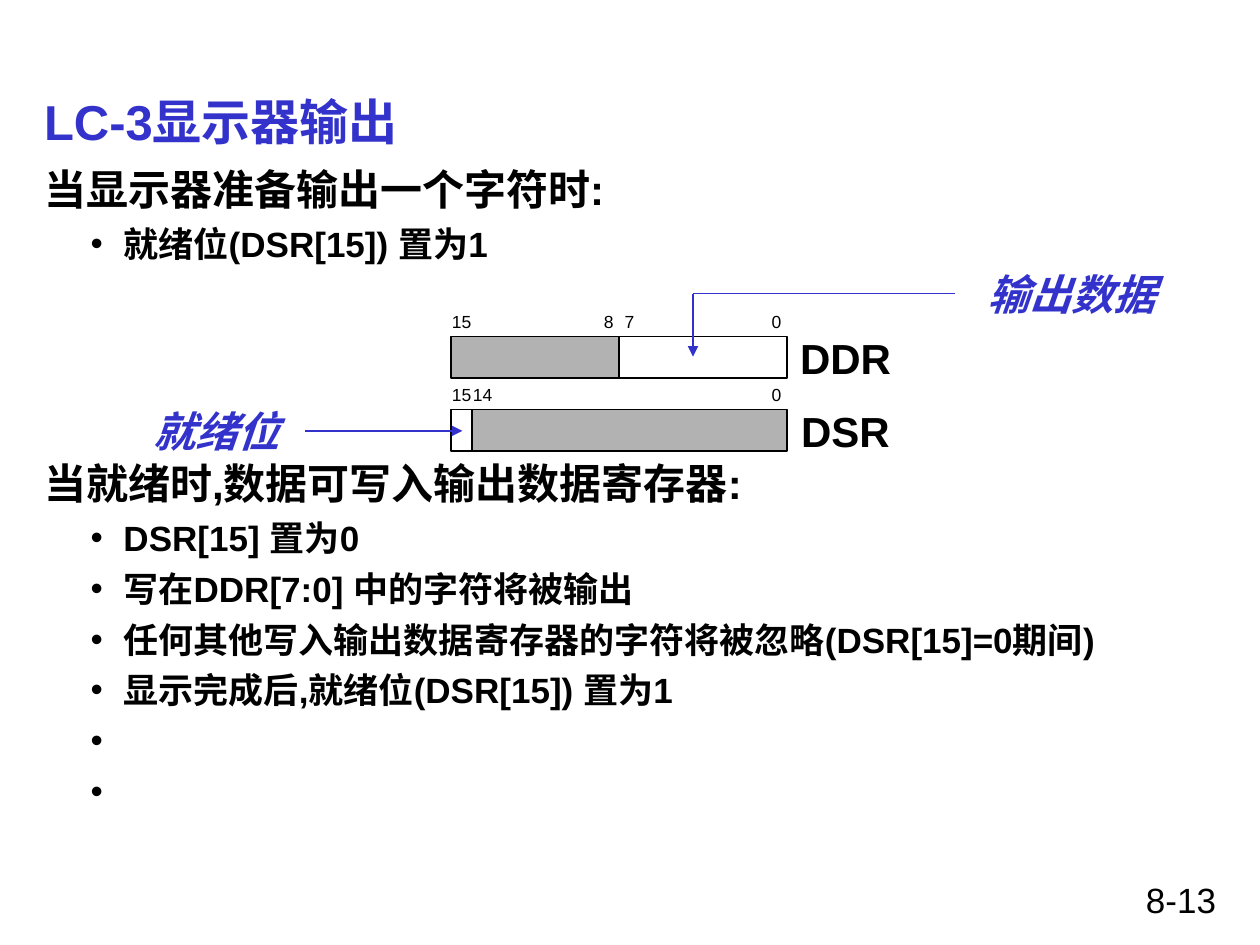
from lxml.etree import SubElement as sub
from pptx import Presentation
from pptx.dml.color import RGBColor as RGB
from pptx.enum.shapes import MSO_CONNECTOR as CONN, MSO_SHAPE as SHAPE
from pptx.enum.text import MSO_ANCHOR as ANCHOR, MSO_AUTO_SIZE as FIT, PP_ALIGN as ALIGN
from pptx.oxml.ns import qn
from pptx.util import Inches, Pt

COLORS = {"ink": "000000", "blue": "3333CC", "gray": "B2B2B2", "white": "FFFFFF"}
LEFT, BIT, HIGH = 3.58, 1 / 6, 0.33  # register left edge, bit width, height

# Level, text, space before; the second heading leaves room for the registers
BODY = [
    (0, "当显示器准备输出一个字符时:", 6),
    (1, "就绪位(DSR[15]) 置为1", 5),
    (0, "当就绪时,数据可写入输出数据寄存器:", 110),
    (1, "DSR[15] 置为0", 5),
    (1, "写在DDR[7:0] 中的字符将被输出", 5),
    (1, "任何其他写入输出数据寄存器的字符将被忽略(DSR[15]=0期间)", 5),
    (1, "显示完成后,就绪位(DSR[15]) 置为1", 5),
    (1, "\n", 5),  # a bullet still without words
]


def color(name):
    return RGB.from_string(COLORS[name])


def style(para, size, tint="ink", bold=False, slant=False):
    font = para.font
    font.name, font.size = "Arial", Pt(size)
    font.bold, font.italic = bold, slant
    font.color.rgb = color(tint)


def place(shape, x, y, w, h):
    shape.left, shape.top = Inches(x), Inches(y)
    shape.width, shape.height = Inches(w), Inches(h)


def head(slide, text):
    title = slide.shapes.title
    place(title, 0.25, 0.67, 9.5, 0.58)
    frame = title.text_frame
    frame.text = text
    frame.auto_size, frame.vertical_anchor = FIT.NONE, ANCHOR.MIDDLE
    para = frame.paragraphs[0]
    para.alignment = ALIGN.LEFT
    style(para, 28, "blue", bold=True)


def bullet(para, level):
    props = para._p.get_or_add_pPr()
    props.set("marL", str(Inches(0.63 * level)))
    props.set("indent", str(Inches(-0.26 * level)))
    if level:
        sub(props, qn("a:buFont"), typeface="Arial")
        sub(props, qn("a:buChar"), char="•")
    else:
        sub(props, qn("a:buNone"))


def body(slide):
    box = slide.placeholders[1]
    place(box, 0.25, 1.25, 9.5, 5.42)
    frame = box.text_frame
    frame.auto_size = FIT.NONE
    for i, (level, text, gap) in enumerate(BODY):
        para = frame.add_paragraph() if i else frame.paragraphs[0]
        para.add_run().text = text
        para.level = level
        para.space_before = Pt(gap)
        bullet(para, level)
        style(para, 20 if level else 24, bold=True)


def label(slide, text, x, y, w, h, size, align=ALIGN.CENTER, **look):
    frame = slide.shapes.add_textbox(Inches(x), Inches(y), Inches(w), Inches(h)).text_frame
    grow = align == ALIGN.CENTER
    frame.word_wrap = not grow
    frame.auto_size = FIT.SHAPE_TO_FIT_TEXT if grow else FIT.NONE
    frame.text = text
    para = frame.paragraphs[0]
    para.alignment = align
    style(para, size, **look)


def field(slide, high, low, y, fill):
    x, w = LEFT + (15 - high) * BIT, (high - low + 1) * BIT
    rect = slide.shapes.add_shape(SHAPE.RECTANGLE, Inches(x), Inches(y), Inches(w), Inches(HIGH))
    rect.shadow.inherit = False
    rect.fill.solid()
    rect.fill.fore_color.rgb = color(fill)
    rect.line.color.rgb = color("ink")
    rect.line.width = Pt(0.75)


def register(slide, name, y, parts):
    for high, low, fill in parts:
        field(slide, high, low, y, fill)
        for bit in {high, low}:
            mid = LEFT + (15.5 - bit) * BIT
            wide = 0.36 if bit > 9 else 0.28
            label(slide, str(bit), mid - wide / 2, y - 0.25, wide, 0.27, 10)
    label(slide, name, 6.25, y - 0.08, 0.92, 0.5, 24, bold=True)


def line(slide, start, end, arrow=False):
    conn = slide.shapes.add_connector(CONN.STRAIGHT, *map(Inches, start + end))
    conn.line.color.rgb = color("blue")
    conn.line.width = Pt(0.75)
    if arrow:
        sub(conn.line._get_or_add_ln(), qn("a:tailEnd"), type="triangle")
    sub(conn._element.spPr, qn("a:effectLst"))


def main():
    deck = Presentation()
    deck.slide_width, deck.slide_height = Inches(10), Inches(7.5)
    slide = deck.slides.add_slide(deck.slide_layouts[1])

    # Text
    head(slide, "LC-3显示器输出")
    body(slide)
    label(slide, "8-13", 7.17, 6.92, 2.58, 0.42, 20, ALIGN.RIGHT)

    # Registers
    register(slide, "DDR", 2.67, [(15, 8, "gray"), (7, 0, "white")])
    register(slide, "DSR", 3.25, [(15, 15, "white"), (14, 0, "gray")])

    # Callouts
    note = {"tint": "blue", "bold": True, "slant": True}
    label(slide, "输出数据", 7.74, 2.08, 1.53, 0.5, 24, **note)
    line(slide, (7.58, 2.33), (5.5, 2.33))
    line(slide, (5.5, 2.33), (5.5, 2.83), arrow=True)
    label(slide, "就绪位", 1.12, 3.17, 1.2, 0.5, 24, **note)
    line(slide, (2.42, 3.42), (3.67, 3.42), arrow=True)

    deck.save("out.pptx")


if __name__ == "__main__":
    main()
